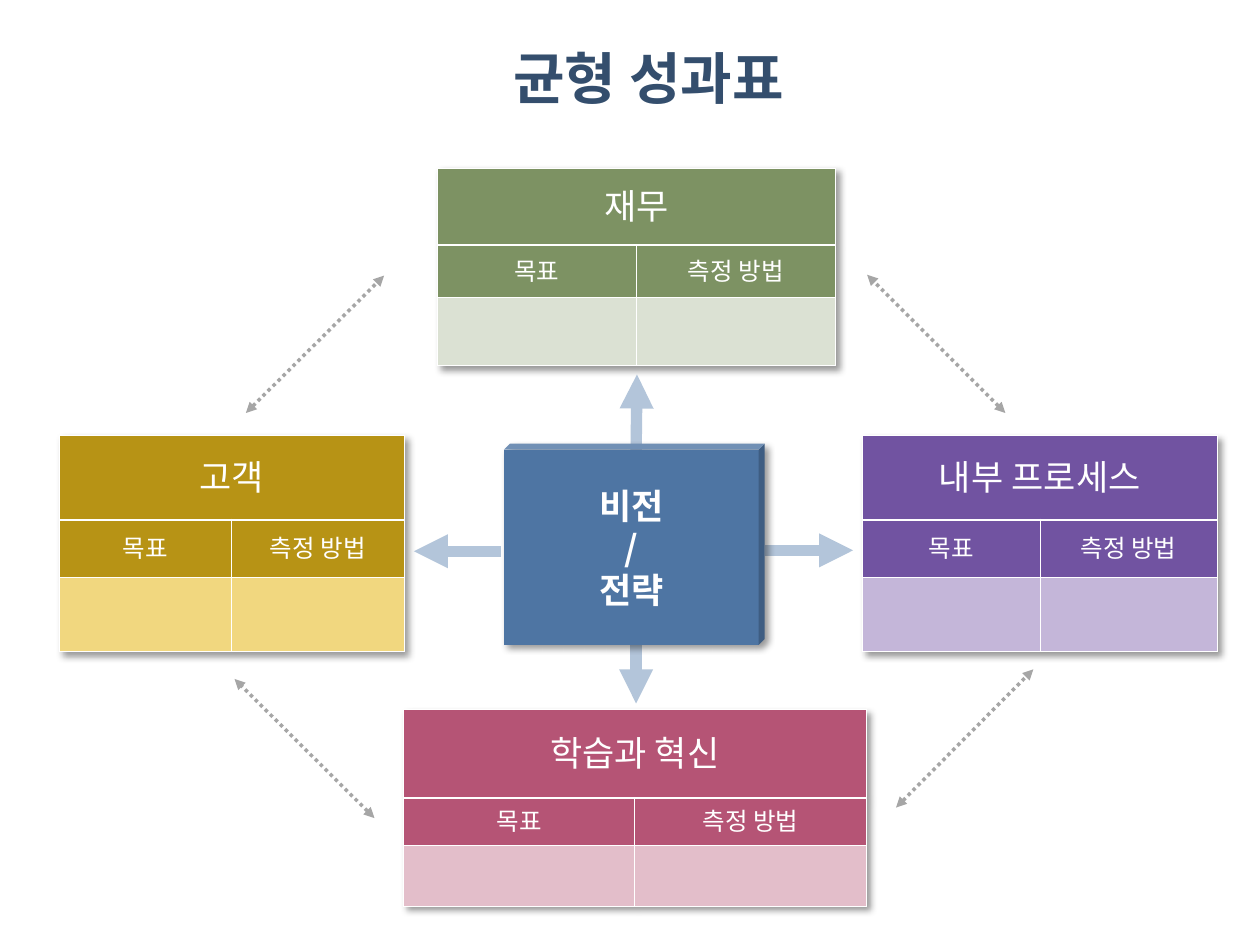
from lxml import etree
from pptx import Presentation
from pptx.dml.color import RGBColor
from pptx.enum.dml import MSO_LINE
from pptx.enum.shapes import MSO_CONNECTOR, MSO_SHAPE
from pptx.enum.text import MSO_ANCHOR, PP_ALIGN
from pptx.oxml.ns import qn
from pptx.util import Pt

STRAIGHT = MSO_CONNECTOR.STRAIGHT
CUBE = MSO_SHAPE.CUBE
DOTTED = MSO_LINE.ROUND_DOT
CENTER = PP_ALIGN.CENTER
MIDDLE, TOP = MSO_ANCHOR.MIDDLE, MSO_ANCHOR.TOP

BODY_FONT = "Cabin"
BOLD_FONT = "Noto Sans CJK KR"
TITLE_ONLY = 5

COLORS = {
    "white": "FFFFFF",
    "title": "344E6D",
    "vision": "4E75A3",
    "arrow": "B3C5DA",
    "cycle": "A6A6A6",
    "shadow": "000000",
    "finance": "7D9263",
    "finance_light": "DBE1D3",
    "customer": "B79315",
    "customer_light": "F1D77F",
    "process": "7153A1",
    "process_light": "C4B6D9",
    "learning": "B55475",
    "learning_light": "E3BECA",
}

PERSPECTIVES = [
    ("재무", "finance", 250, 96, 227.5, (44, 30, 39)),
    ("고객", "customer", 34, 249, 197, (48, 33, 42.5)),
    ("내부 프로세스", "process", 493, 249, 202.5, (48, 33, 42.5)),
    ("학습과 혁신", "learning", 230.5, 405.5, 264.5, (50.5, 27, 35)),
]
CYCLE_ARROWS = [
    (140.5, 236, 219.5, 157.5),
    (512, 461.5, 590.5, 382.5),
    (214, 467.5, 134, 388),
    (574.5, 236, 495.5, 157),
]
VISION_ARROWS = [
    (487.5, 314.5, 437, 314.5),
    (236.5, 315, 286.5, 315),
    (363.5, 402, 363.5, 354),
    (364, 214, 363.5, 258.5),
]


def rgb(name):
    return RGBColor.from_string(COLORS[name])


def set_text(frame, text, size, color="white", font=BODY_FONT, bold=False, anchor=MIDDLE):
    frame.vertical_anchor = anchor
    for index, line in enumerate(text.split("\n")):
        para = frame.paragraphs[0] if index == 0 else frame.add_paragraph()
        para.alignment = CENTER
        span = para.add_run()
        span.text = line
        span.font.size = Pt(size)
        span.font.name = font
        span.font.bold = bold
        span.font.color.rgb = rgb(color)
        properties = span.font._element
        etree.SubElement(properties, qn("a:ea"), typeface=font)


def add_shadow(effects):
    shadow = etree.SubElement(
        effects, qn("a:outerShdw"), blurRad=str(Pt(4)), dist=str(Pt(3)),
        dir="2700000", algn="tl", rotWithShape="0")
    color = etree.SubElement(shadow, qn("a:srgbClr"), val=COLORS["shadow"])
    etree.SubElement(color, qn("a:alpha"), val="40000")


def set_borders(cell, top, bottom):
    properties = cell._tc.get_or_add_tcPr()
    for side, width in (("L", 0.5), ("R", 0.5), ("T", top), ("B", bottom)):
        line = etree.SubElement(properties, qn(f"a:ln{side}"), w=str(Pt(width)))
        fill = etree.SubElement(line, qn("a:solidFill"))
        etree.SubElement(fill, qn("a:srgbClr"), val=COLORS["white"])


def add_perspective(page, heading, color, left, top, width, heights):
    frame = page.shapes.add_table(3, 2, Pt(left), Pt(top), Pt(width), Pt(sum(heights)))
    table = frame.table
    table.first_row = False
    table.horz_banding = False
    add_shadow(etree.SubElement(table._tbl.tblPr, qn("a:effectLst")))
    table._tbl.tblPr.insert(0, table._tbl.tblPr[-1])
    for column in table.columns:
        column.width = Pt(width / 2)

    fills = (color, color, f"{color}_light")
    borders = ((0.5, 1.5), (1.5, 0.5), (0.5, 0.5))
    for row, height, fill, edges in zip(table.rows, heights, fills, borders):
        row.height = Pt(height)
        for cell in row.cells:
            set_borders(cell, *edges)
            cell.fill.solid()
            cell.fill.fore_color.rgb = rgb(fill)
            cell.vertical_anchor = MIDDLE

    table.cell(0, 0).merge(table.cell(0, 1))
    set_text(table.cell(0, 0).text_frame, heading, 20)
    for column, label in enumerate(("목표", "측정 방법")):
        set_text(table.cell(1, column).text_frame, label, 14)


def add_arrow(page, points, color, width, dash=None, both_ends=False):
    arrow = page.shapes.add_connector(STRAIGHT, *(Pt(value) for value in points))
    arrow.line.color.rgb = rgb(color)
    arrow.line.width = Pt(width)
    if dash is not None:
        arrow.line.dash_style = dash
    properties = arrow._element.spPr
    line = properties.find(qn("a:ln"))
    etree.SubElement(line, qn("a:headEnd"), type="triangle")
    if both_ends:
        etree.SubElement(line, qn("a:tailEnd"), type="triangle")
    etree.SubElement(properties, qn("a:effectLst"))


def add_vision(page):
    cube = page.shapes.add_shape(CUBE, Pt(288), Pt(253.5), Pt(149), Pt(115))
    cube.adjustments[0] = 0.03
    cube.fill.solid()
    cube.fill.fore_color.rgb = rgb("vision")
    cube.line.fill.background()
    cube.shadow.inherit = False
    add_shadow(cube._element.spPr.find(qn("a:effectLst")))
    set_text(cube.text_frame, "비전\n/\n전략", 20, font=BOLD_FONT, bold=True)


def add_title(page):
    title = page.shapes.title
    title.left, title.top, title.width, title.height = Pt(196.5), Pt(21), Pt(348.5), Pt(46)
    set_text(title.text_frame, "균형 성과표", 32, color="title", font=BOLD_FONT,
             bold=True, anchor=TOP)


def main():
    deck = Presentation()
    deck.slide_width, deck.slide_height = Pt(720), Pt(540)
    page = deck.slides.add_slide(deck.slide_layouts[TITLE_ONLY])
    add_title(page)
    for perspective in PERSPECTIVES:
        add_perspective(page, *perspective)
    for points in CYCLE_ARROWS:
        add_arrow(page, points, "cycle", 2, dash=DOTTED, both_ends=True)
    for points in VISION_ARROWS:
        add_arrow(page, points, "arrow", 6.5)
    add_vision(page)
    deck.save("out.pptx")


if __name__ == "__main__":
    main()
